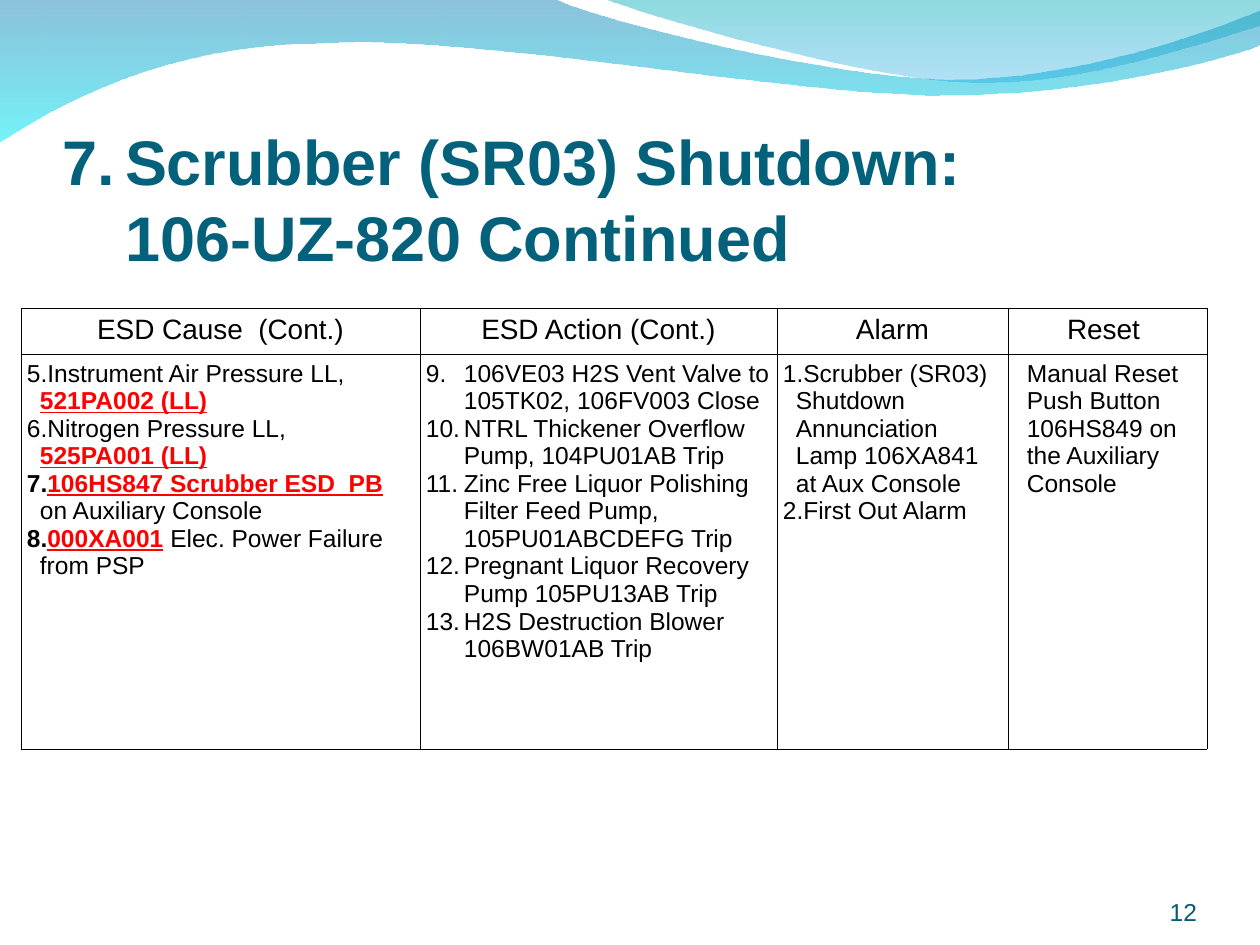
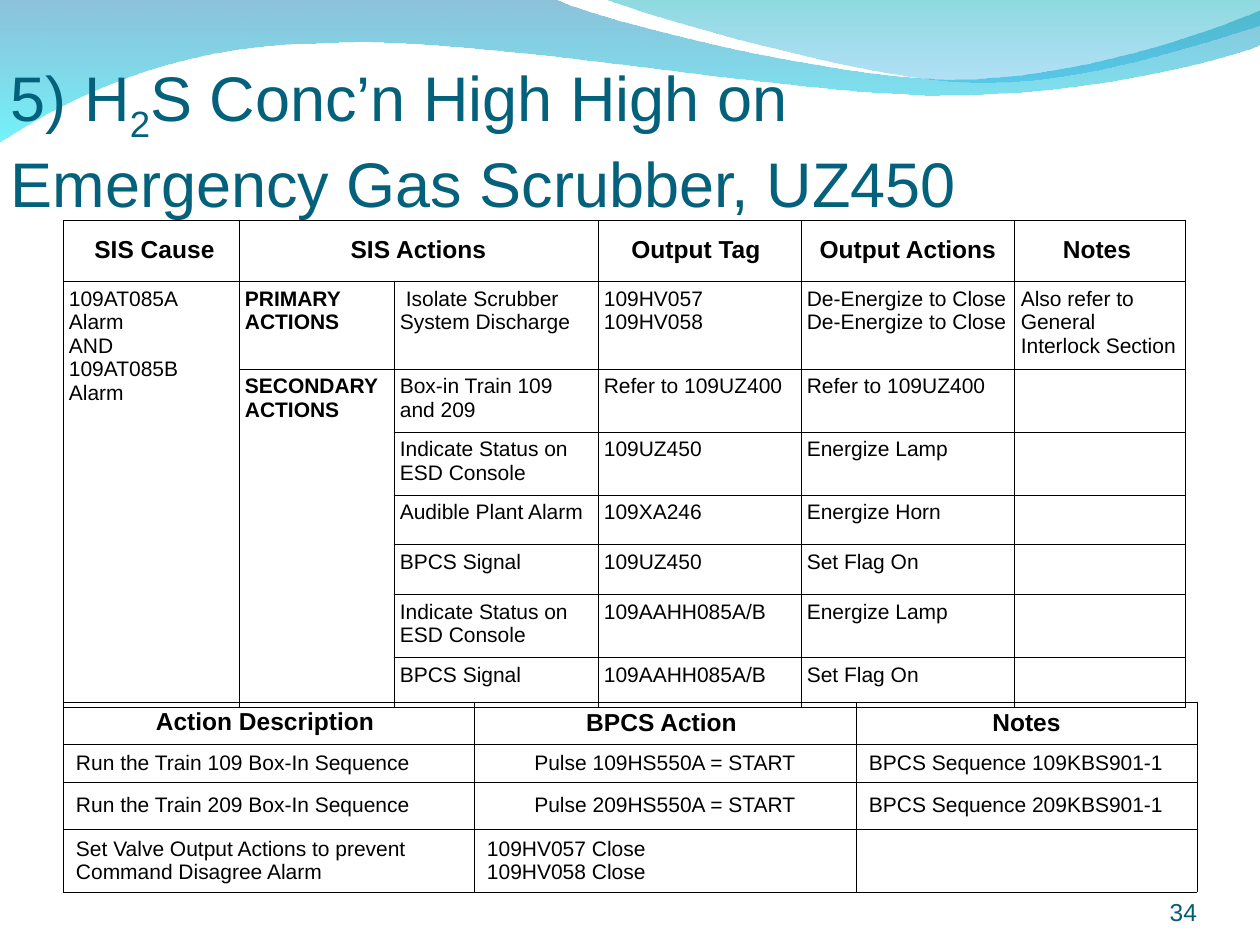
from dataclasses import dataclass

import pptx
import pptx.dml.color
import pptx.enum.text
import pptx.oxml
import pptx.oxml.ns
import pptx.util

EMU_PER_PX = 914400 / 126
FONT = "Arial"
COLORS = {
    "title": "04617B", "number": "045C75", "body": "000000", "alert": "FF0000",
    "wave_top": "0079AF", "wave_bottom": "00EBF8", "crest_top": "00ADB6", "crest_bottom": "009BE5",
}
LOOKS = {
    "title": {"size": 36, "color": "title"},
    "title_bold": {"size": 36, "color": "title", "bold": True},
    "number": {"size": 14, "color": "number"},
    "head": {"size": 16, "color": "body"},
    "head_bold": {"size": 14, "color": "body", "bold": True},
    "body": {"size": 14, "color": "body"},
    "alert": {"size": 14, "color": "alert", "bold": True, "underline": True},
    "small": {"size": 12, "color": "body"},
    "small_bold": {"size": 12, "color": "body", "bold": True},
}
ALIGN = pptx.enum.text.PP_ALIGN
ANCHOR = pptx.enum.text.MSO_ANCHOR


@dataclass(frozen=True)
class Run:
    text: str
    look: str
    baseline: int = 0


@dataclass(frozen=True)
class Para:
    runs: tuple[Run, ...]
    align: ALIGN = ALIGN.LEFT
    margin: int = 0
    indent: int = 0
    start: int = 0


@dataclass(frozen=True)
class Cell:
    paras: tuple[Para, ...] = ()
    anchor: ANCHOR = ANCHOR.TOP
    left: int = 6
    right: int = 6
    span: tuple[int, int] = (1, 1)


@dataclass(frozen=True)
class Box:
    x: int
    y: int
    w: int
    h: int


@dataclass(frozen=True)
class Wave:
    start: tuple[int, int]
    segments: tuple[tuple[int, ...], ...]
    stops: tuple[tuple[str, int], ...]


WAVES = (
    Wave((0, -1), ((554, -1), (600, 21, 837, 79, 955, 79), (1075, 79, 1207, 33, 1260, 11),
                   (1261, 45), (1239, 55, 1096, 96, 940, 95), (784, 95, 481, 35, 324, 43),
                   (163, 44, 58, 105, -1, 142)),
         (("wave_top", 45), ("wave_bottom", 55))),
    Wave((604, -1), ((641, 14, 859, 78, 969, 82), (1079, 87, 1211, 40, 1260, 26), (1260, 0)),
         (("crest_top", 45), ("crest_bottom", 30))),
)
NUMBER_BOX = Box(1092, 876, 105, 50)


def px(n: float) -> int:
    return round(n * EMU_PER_PX)


def rgb(name: str) -> pptx.dml.color.RGBColor:
    return pptx.dml.color.RGBColor.from_string(COLORS[name])


def drawing_xml(text: str):
    return pptx.oxml.parse_xml(text.replace(">", f" {pptx.oxml.ns.nsdecls('a')}>", 1))


def find_all(element, tag: str) -> list:
    return element.findall(".//" + pptx.oxml.ns.qn(tag))


def draw_wave(s, wave: Wave) -> None:
    knots = [seg[i:i + 2] for seg in wave.segments for i in range(0, len(seg), 2)]
    builder = s.shapes.build_freeform(*map(px, wave.start), scale=1.0)
    builder.add_line_segments([(px(x), px(y)) for x, y in knots], close=True)
    sp = builder.convert_to_shape()
    lines = iter(find_all(sp.element, "a:lnTo"))
    for seg in wave.segments:
        first = next(lines)
        if len(seg) == 6:
            curve = drawing_xml("<a:cubicBezTo></a:cubicBezTo>")
            first.addprevious(curve)
            for line in (first, next(lines), next(lines)):
                curve.append(line[0])
                line.getparent().remove(line)
    sp.shadow.inherit = False
    sp.line.fill.background()
    sp.fill.gradient()
    sp.fill.gradient_angle = 270
    for stop, (color, opacity) in zip(sp.fill.gradient_stops, wave.stops):
        stop.color.rgb = rgb(color)
    for end, (color, opacity) in zip(find_all(sp.element.spPr, "a:srgbClr"), wave.stops):
        end.append(drawing_xml(f'<a:alpha val="{opacity * 1000}"></a:alpha>'))


def style_run(r, run: Run) -> None:
    look = LOOKS[run.look]
    values = {"name": FONT, "size": pptx.util.Pt(look["size"]),
              "bold": look.get("bold", False), "underline": look.get("underline", False)}
    for key, value in values.items():
        setattr(r.font, key, value)
    r.font.color.rgb = rgb(look["color"])
    if run.baseline:
        r.font._element.set("baseline", str(run.baseline * 1000))


def write(tf, paras: tuple[Para, ...]) -> None:
    tf.word_wrap = True
    for i, para in enumerate(paras):
        p = tf.add_paragraph() if i else tf.paragraphs[0]
        pPr = p._p.get_or_add_pPr()
        pPr.set("marL", str(px(para.margin)))
        pPr.set("indent", str(px(para.indent)))
        if para.start:
            color = COLORS["title" if para.runs[0].look.startswith("title") else "body"]
            pPr.append(drawing_xml(f'<a:buClr><a:srgbClr val="{color}"/></a:buClr>'))
            pPr.append(drawing_xml(f'<a:buAutoNum type="arabicPeriod" startAt="{para.start}"></a:buAutoNum>'))
        p.alignment = para.align
        for run in para.runs:
            for k, line in enumerate(run.text.split("\v")):
                if k:
                    p.add_line_break()
                if line:
                    r = p.add_run()
                    r.text = line
                    style_run(r, run)


def draw_text(s, box: Box, para: Para, anchor: ANCHOR, top: int = 0) -> None:
    tf = s.shapes.add_textbox(*map(px, (box.x, box.y, box.w, box.h))).text_frame
    values = {"margin_left": 0, "margin_right": 0, "margin_top": px(top), "margin_bottom": 0,
              "vertical_anchor": anchor}
    for key, value in values.items():
        setattr(tf, key, value)
    write(tf, (para,))


def draw_table(s, x: int, y: int, cols: list[int], rows: list[int], cells: list[list]) -> None:
    frame = s.shapes.add_table(len(rows), len(cols), px(x), px(y), px(sum(cols)), px(sum(rows)))
    table = frame.table
    table.first_row = table.horz_banding = False
    for col, width in zip(table.columns, cols):
        col.width = px(width)
    for row, height in zip(table.rows, rows):
        row.height = px(height)
    for i, line in enumerate(cells):
        for j, spec in enumerate(line):
            cell = table.cell(i, j)
            content = spec or Cell()
            values = {"margin_left": px(content.left), "margin_right": px(content.right),
                      "margin_top": px(6), "margin_bottom": px(6),
                      "vertical_anchor": content.anchor}
            for key, value in values.items():
                setattr(cell, key, value)
            cell.fill.background()
            for k, side in enumerate("LRTB"):
                cell._tc.tcPr.insert(k, drawing_xml(
                    f'<a:ln{side} w="5715"><a:solidFill><a:srgbClr val="{COLORS["body"]}"/>'
                    f'</a:solidFill></a:ln{side}>'))
            write(cell.text_frame, content.paras)
            if not content.paras:
                cell.text_frame.paragraphs[0]._p.append(drawing_xml(
                    f'<a:endParaRPr sz="1800"><a:latin typeface="{FONT}"/></a:endParaRPr>'))
            down, across = content.span
            if down * across > 1:
                cell.merge(table.cell(i + down - 1, j + across - 1))


def plain(text: str, look: str, align: ALIGN = ALIGN.LEFT, indent: int = 0) -> tuple[Para, ...]:
    return tuple(Para((Run(line, look),), align, indent=indent) for line in text.split("\n"))


def numbered(items: list[tuple[Run, ...]], start: int, hang: int) -> Cell:
    return Cell(tuple(Para(runs, margin=hang, indent=-hang, start=start) for runs in items))


def heading(text: str, look: str = "head_bold", anchor: ANCHOR = ANCHOR.MIDDLE, **extra) -> Cell:
    return Cell(plain(text, look, ALIGN.CENTER), anchor, **extra)


def small(text: str, look: str = "small", indent: int = 0, **extra) -> Cell:
    return Cell(plain(text, look, indent=indent), **extra)


def sequence_row(description: str, action: str, note: str) -> list[Cell]:
    aligns = (ALIGN.LEFT, ALIGN.CENTER, ALIGN.LEFT)
    return [Cell(plain(text, "small", align), ANCHOR.MIDDLE, 13, 13)
            for text, align in zip((description, action, note), aligns)]


def new_slide(prs, number: str):
    s = prs.slides.add_slide(prs.slide_layouts[6])
    for wave in WAVES:
        draw_wave(s, wave)
    draw_text(s, NUMBER_BOX, Para((Run(number, "number"),), ALIGN.RIGHT), ANCHOR.BOTTOM)
    return s


def scrubber_shutdown(prs) -> None:
    s = new_slide(prs, "12")
    title = Run("Scrubber (SR03) Shutdown: \v106-UZ-820 Continued", "title_bold")
    draw_text(s, Box(62, 116, 1155, 158), Para((title,), margin=63, indent=-63, start=7),
              ANCHOR.BOTTOM, 6)
    causes = [
        (Run("Instrument Air Pressure LL, ", "body"), Run("521PA002 (LL)", "alert")),
        (Run("Nitrogen Pressure LL,\v", "body"), Run("525PA001 (LL)", "alert")),
        (Run("106HS847 Scrubber ESD  PB ", "alert"), Run("on Auxiliary Console", "body")),
        (Run("000XA001", "alert"), Run(" Elec. Power Failure from PSP", "body")),
    ]
    actions = [
        "106VE03 H2S Vent Valve to 105TK02, 106FV003 Close",
        "NTRL Thickener Overflow Pump, 104PU01AB Trip",
        "Zinc Free Liquor Polishing Filter Feed Pump, 105PU01ABCDEFG Trip",
        "Pregnant Liquor Recovery Pump 105PU13AB Trip",
        "H2S Destruction Blower 106BW01AB Trip",
    ]
    alarms = ["Scrubber (SR03) Shutdown Annunciation Lamp 106XA841 at Aux Console", "First Out Alarm"]
    reset = Run("Manual Reset Push Button 106HS849 on the Auxiliary Console", "body")
    heads = ("ESD Cause  (Cont.)", "ESD Action (Cont.)", "Alarm", "Reset ")
    draw_table(s, 21, 308, [399, 357, 231, 199], [46, 395], [
        [heading(text, "head", ANCHOR.TOP) for text in heads],
        [numbered(causes, 5, 13),
         numbered([(Run(text, "body"),) for text in actions], 9, 38),
         numbered([(Run(text, "body"),) for text in alarms], 1, 13),
         Cell((Para((reset,), margin=13),))],
    ])


def gas_scrubber(prs) -> None:
    s = new_slide(prs, "34")
    title = (Run("5) H", "title"), Run("2", "title", -25),
             Run("S Conc’n High High on \vEmergency Gas Scrubber, UZ450", "title"))
    draw_text(s, Box(11, 53, 1134, 158), Para(title), ANCHOR.TOP, 6)
    secondary = [
        ("Box-in Train 109 and 209", "Refer to 109UZ400", "Refer to 109UZ400"),
        ("Indicate Status on ESD Console", "109UZ450", "Energize Lamp"),
        ("Audible Plant Alarm", "109XA246", "Energize Horn"),
        ("BPCS Signal", "109UZ450", "Set Flag On"),
        ("Indicate Status on ESD Console", "109AAHH085A/B", "Energize Lamp"),
        ("BPCS Signal", "109AAHH085A/B", "Set Flag On"),
    ]
    cells = [
        [heading("SIS Cause", left=13), heading("SIS Actions", span=(1, 2)), None,
         heading("Output Tag "), heading("Output Actions"), heading("Notes ")],
        [small("109AT085A Alarm\nAND\n109AT085B Alarm", right=13, span=(7, 1)),
         small("PRIMARY ACTIONS", "small_bold", right=13),
         small("Isolate Scrubber System Discharge", indent=6, right=13),
         small("109HV057\n109HV058", right=13),
         small("De-Energize to Close\nDe-Energize to Close"),
         small("Also refer to General Interlock Section")],
    ]
    for i, (action, tag, output) in enumerate(secondary):
        group = None if i else small("SECONDARY ACTIONS", "small_bold", right=13, span=(6, 1))
        cells.append([None, group, small(action, right=13), small(tag, right=13), small(output), None])
    draw_table(s, 63, 220, [176, 155, 204, 203, 214, 171], [61, 88, 63, 63, 42, 42, 63, 42], cells)
    draw_table(s, 63, 702, [411, 382, 341], [42, 38, 47, 63], [
        [heading("Action Description ", anchor=ANCHOR.TOP), heading("BPCS Action "), heading("Notes")],
        *(sequence_row(f"Run the Train {n} Box-In Sequence", f"Pulse {n}HS550A = START",
                       f"BPCS Sequence {n}KBS901-1") for n in (109, 209)),
        [small("Set Valve Output Actions to prevent Command Disagree Alarm",
               anchor=ANCHOR.MIDDLE, left=13, right=13),
         small("109HV057 Close\n109HV058 Close", anchor=ANCHOR.MIDDLE, left=13, right=13), None],
    ])


def main() -> None:
    prs = pptx.Presentation()
    prs.slide_width, prs.slide_height = px(1260), px(945)
    scrubber_shutdown(prs)
    gas_scrubber(prs)
    prs.save("out.pptx")


if __name__ == "__main__":
    main()
